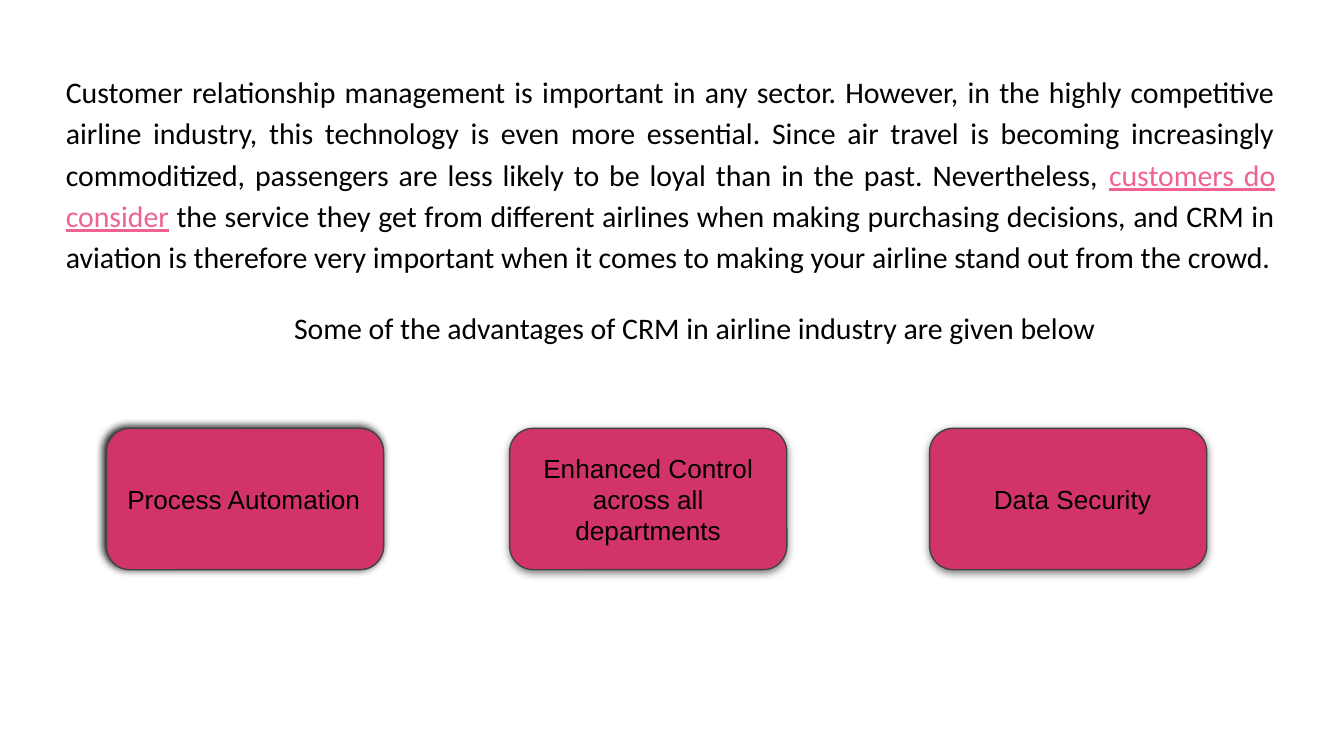
from lxml.etree import SubElement as Sub
from pptx import Presentation
from pptx.dml.color import RGBColor as RGB
from pptx.enum.shapes import MSO_SHAPE as Shape
from pptx.enum.text import MSO_ANCHOR as Anchor, PP_ALIGN as Align
from pptx.oxml.ns import qn
from pptx.util import Pt

PX = 9525  # 96 px to the inch
PAD = 10
BLACK = RGB(0, 0, 0)
GREY = RGB(0x43, 0x43, 0x43)
ROSE = RGB(0xD2, 0x33, 0x69)
PINK = RGB(0xF0, 0x62, 0x92)

INTRO = [
    ("Customer relationship management is important in any sector. However, "
     "in the highly competitive airline industry, this technology is even more "
     "essential. Since air travel is becoming increasingly commoditized, "
     "passengers are less likely to be loyal than in the past. Nevertheless, ", False),
    ("customers do consider", True),
    (" the service they get from different airlines when making purchasing "
     "decisions, and CRM in aviation is therefore very important when it comes "
     "to making your airline stand out from the crowd.", False),
]
LEAD = "Some of the advantages of CRM in airline industry are given below"

# left, label, alignment, indent, shadow opacity in %, shadow angle
CARDS = [
    (76, "Process Automation", Align.LEFT, 0, 92, 210),
    (364, "Enhanced Control across all departments", Align.CENTER, 0, 50, 90),
    (664, "Data Security", Align.LEFT, 31, 50, 90),
]


def scale(*box):
    return [n * PX for n in box]


def set_frame(frame):
    frame.word_wrap = True
    frame.margin_left = frame.margin_right = PAD * PX
    frame.margin_top = frame.margin_bottom = PAD * PX


def add_run(para, text, font, size, color=BLACK):
    run = para.add_run()
    run.text = text
    run.font.name = font
    run.font.size = Pt(size)
    run.font.color.rgb = color
    return run


def add_shadow(shape, alpha, angle):
    shape.shadow.inherit = False
    effects = shape.element.spPr.find(qn("a:effectLst"))
    outer = Sub(effects, qn("a:outerShdw"), blurRad=str(Pt(4.5)),
                dist=str(Pt(1.5)), dir=str(angle * 60000),
                algn="bl", rotWithShape="0")
    color = Sub(outer, qn("a:srgbClr"), val=str(BLACK))
    Sub(color, qn("a:alpha"), val=str(alpha * 1000))


def add_intro(slide, x, y, w, h):
    frame = slide.shapes.add_textbox(*scale(x, y, w, h)).text_frame
    set_frame(frame)
    first, lead = frame.paragraphs[0], frame.add_paragraph()
    for para in (first, lead):
        para.alignment = Align.JUSTIFY
        para.line_spacing = 1.15
    for text, marked in INTRO:
        run = add_run(first, text, "Calibri", 16, PINK if marked else BLACK)
        if marked:
            run.font.underline = True
    lead.space_before = Pt(16)
    lead._p.get_or_add_pPr().set("indent", str(163 * PX))
    add_run(lead, LEAD, "Calibri", 16)


def add_card(slide, x, y, w, h, label, align, indent, alpha, angle):
    card = slide.shapes.add_shape(Shape.ROUNDED_RECTANGLE, *scale(x, y, w, h))
    card.fill.solid()
    card.fill.fore_color.rgb = ROSE
    card.line.color.rgb = GREY
    card.line.width = Pt(0.75)
    add_shadow(card, alpha, angle)
    frame = card.text_frame
    set_frame(frame)
    frame.vertical_anchor = Anchor.MIDDLE
    para = frame.paragraphs[0]
    para.alignment = align
    if indent:
        para._p.get_or_add_pPr().set("indent", str(indent * PX))
    add_run(para, label, "Arial", 14)


def main():
    deck = Presentation()
    deck.slide_width, deck.slide_height = scale(960, 540)
    slide = deck.slides.add_slide(deck.slide_layouts[6])
    add_intro(slide, 37, 39, 884, 390)
    for left, *style in CARDS:
        add_card(slide, left, 306, 198, 101, *style)
    deck.save("out.pptx")


if __name__ == "__main__":
    main()
